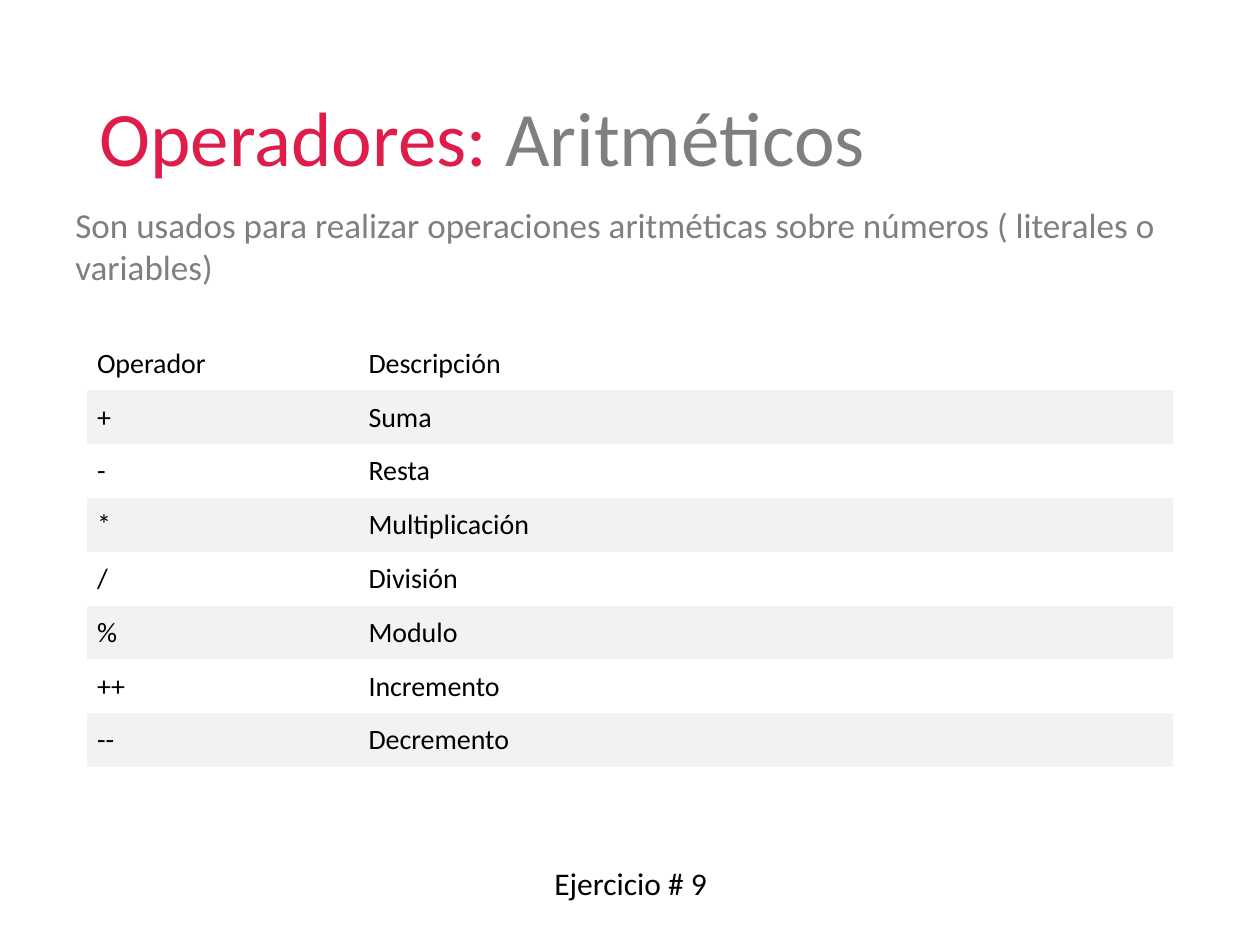
from pptx import Presentation
from pptx.dml.color import RGBColor
from pptx.enum.text import MSO_ANCHOR, MSO_AUTO_SIZE, PP_ALIGN
from pptx.oxml.ns import qn
from pptx.util import Inches, Pt

FONT = "Calibri"
RED, GRAY, BLACK = "DF1D4B", "7F7F7F", "000000"
BAND_FILLS = ("FFFFFF", "F2F2F2")
PLAIN_TABLE_STYLE = "{2D5ABB26-0587-4C30-8999-92F81FD0307C}"
OPERATORS = [
    ("Operador", "Descripción"),
    ("+", "Suma"),
    ("-", "Resta"),
    ("*", "Multiplicación"),
    ("/", "División"),
    ("%", "Modulo"),
    ("++", "Incremento"),
    ("--", "Decremento"),
]


def color(hex_code):
    return RGBColor.from_string(hex_code)


def write(frame, text, size=16, fill=BLACK, align=PP_ALIGN.LEFT, spacing=None):
    """Append a formatted run to the first paragraph of the frame."""
    paragraph = frame.paragraphs[0]
    paragraph.alignment = align
    if spacing:
        paragraph.line_spacing = spacing
    run = paragraph.add_run()
    run.text = text
    run.font.name = FONT
    run.font.size = Pt(size)
    run.font.color.rgb = color(fill)


def place_title(slide, left, top, width, height):
    title = slide.shapes.title
    title.left, title.top = Inches(left), Inches(top)
    title.width, title.height = Inches(width), Inches(height)
    frame = title.text_frame
    frame.vertical_anchor = MSO_ANCHOR.MIDDLE
    frame.auto_size = MSO_AUTO_SIZE.NONE
    for text, fill in (("Operadores: ", RED), ("Aritméticos", GRAY)):
        write(frame, text, size=44, fill=fill, spacing=0.9)


def add_text(slide, text, left, top, width, height, wrap=True,
             anchor=MSO_ANCHOR.TOP, **text_format):
    box = slide.shapes.add_textbox(Inches(left), Inches(top), Inches(width), Inches(height))
    frame = box.text_frame
    frame.word_wrap = wrap
    frame.auto_size = MSO_AUTO_SIZE.SHAPE_TO_FIT_TEXT
    frame.vertical_anchor = anchor
    write(frame, text, **text_format)


def add_operator_table(slide, left, top, width, height):
    table = slide.shapes.add_table(len(OPERATORS), 2, Inches(left), Inches(top),
                                   Inches(width), Inches(height)).table
    table.first_row = table.horz_banding = False
    table._tbl.tblPr.find(qn("a:tableStyleId")).text = PLAIN_TABLE_STYLE
    for column, share in zip(table.columns, (0.25, 0.75)):
        column.width = Inches(width * share)
    for row_index, row in enumerate(OPERATORS):
        for column_index, text in enumerate(row):
            cell = table.cell(row_index, column_index)
            cell.fill.solid()
            cell.fill.fore_color.rgb = color(BAND_FILLS[row_index % 2])
            cell.margin_left = cell.margin_right = Inches(0.08)
            cell.margin_top = cell.margin_bottom = Inches(0.08)
            write(cell.text_frame, text)


def build_operators_slide(deck):
    slide = deck.slides.add_slide(deck.slide_layouts[5])
    place_title(slide, 0.69, 0.4, 8.62, 1.45)
    add_text(slide, "Ejercicio # 9", 4.29, 6.81, 1.43, 0.4, wrap=False,
             size=18, align=PP_ALIGN.CENTER)
    add_operator_table(slide, 0.69, 2.67, 8.62, 3.42)
    add_text(slide, "Son usados para realizar operaciones aritméticas sobre números "
             "( literales o variables)", 0.5, 1.56, 8.81, 0.77,
             anchor=MSO_ANCHOR.MIDDLE, size=20, fill=GRAY)


def main():
    deck = Presentation()
    deck.slide_width, deck.slide_height = Inches(10), Inches(7.5)
    build_operators_slide(deck)
    deck.save("out.pptx")


if __name__ == "__main__":
    main()
